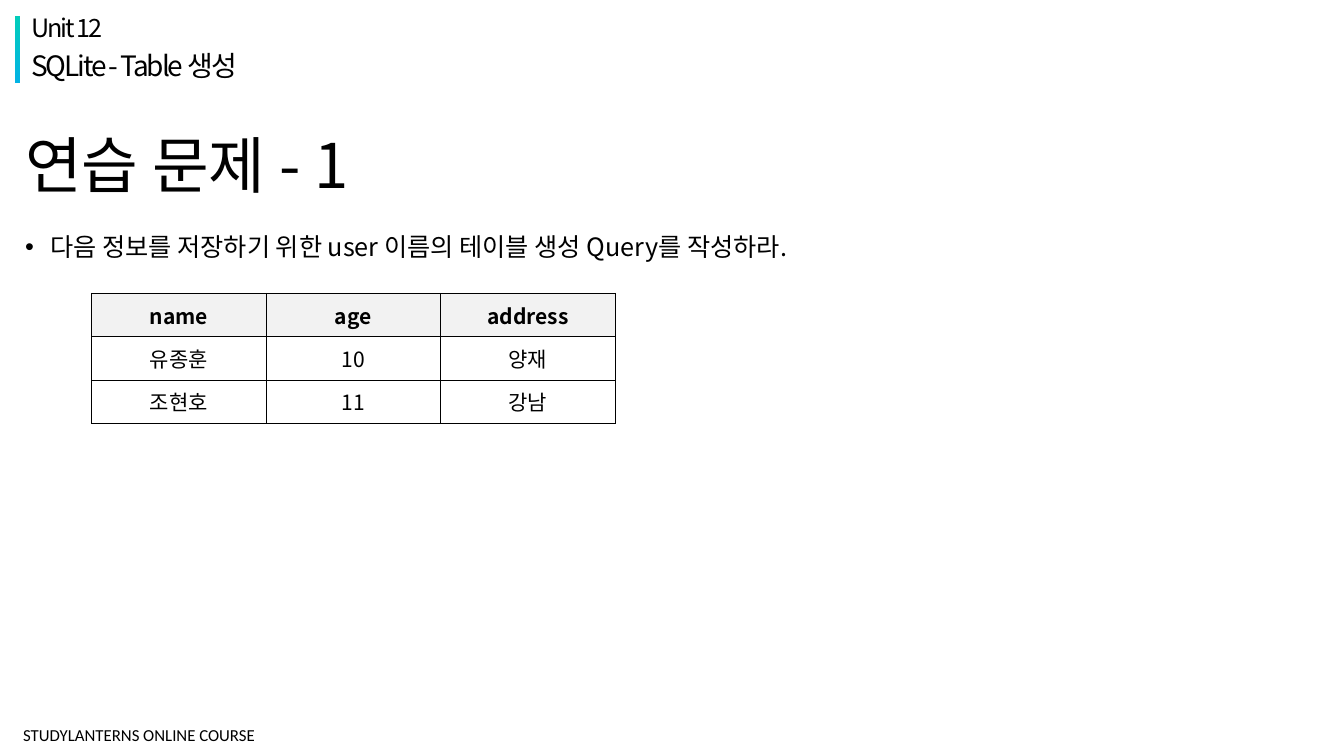
from dataclasses import dataclass

from lxml import etree
from pptx import Presentation
from pptx import util as u
from pptx.dml.color import RGBColor
from pptx.enum import shapes, text
from pptx.oxml.ns import qn

NOTO = "Noto Sans CJK KR"
BLACK = "000000"
HEADER_FILL = "F2F2F2"


@dataclass
class Label:
    words: str
    left: float
    top: float
    width: float
    height: float
    size: float
    font: str = NOTO
    anchor: text.MSO_ANCHOR = text.MSO_ANCHOR.TOP
    inset: tuple[float, float] = (0.1, 0.05)
    line_spacing: float = 1.0
    space_before: float = 0
    tracking: float = 0
    bullet: bool = False


LABELS = [
    Label("STUDYLANTERNS ONLINE COURSE", 0.15, 7.11, 3.97, 0.36, 12, "Calibri",
          text.MSO_ANCHOR.MIDDLE, inset=(0.08, 0.08)),
    Label("연습 문제 - 1", 0.15, 1.25, 11.5, 0.85, 44,
          anchor=text.MSO_ANCHOR.MIDDLE, line_spacing=0.9),
    Label("Unit 12", 0.21, 0.11, 8.05, 0.34, 18,
          line_spacing=0.9, space_before=10, tracking=-1.5),
    Label("SQLite - Table 생성", 0.21, 0.47, 8.05, 0.34, 20,
          line_spacing=0.9, space_before=10, tracking=-1.5),
    Label("다음 정보를 저장하기 위한 user 이름의 테이블 생성 Query를 작성하라.",
          0.15, 2.25, 11.5, 0.85, 18, space_before=10, bullet=True),
]

USERS = [
    ("name", "age", "address"),
    ("유종훈", "10", "양재"),
    ("조현호", "11", "강남"),
]


def color(value: str) -> RGBColor:
    return RGBColor.from_string(value)


def set_font(p, name: str, size: float, bold: bool = False, tracking: float = 0):
    f = p.font
    f.name, f.size, f.bold = name, u.Pt(size), bold
    f.color.rgb = color(BLACK)
    props = p._p.pPr.find(qn("a:defRPr"))
    etree.SubElement(props, qn("a:ea")).set("typeface", name)
    if tracking:
        props.set("spc", str(int(tracking * 100)))
    return props


def add_label(s, label: Label) -> None:
    box = s.shapes.add_textbox(u.Inches(label.left), u.Inches(label.top),
                               u.Inches(label.width), u.Inches(label.height))
    tf = box.text_frame
    tf.word_wrap = True
    tf.vertical_anchor = label.anchor
    tf.margin_left = tf.margin_right = u.Inches(label.inset[0])
    tf.margin_top = tf.margin_bottom = u.Inches(label.inset[1])
    p = tf.paragraphs[0]
    p.text = label.words
    p.line_spacing = label.line_spacing
    p.space_before = u.Pt(label.space_before)
    props = set_font(p, label.font, label.size, tracking=label.tracking)
    if label.bullet:
        p._p.pPr.set("marL", str(u.Inches(0.25)))
        p._p.pPr.set("indent", str(u.Inches(-0.25)))
        bullet_font = etree.Element(qn("a:buFont"), typeface="Arial")
        props.addprevious(bullet_font)
        props.addprevious(etree.Element(qn("a:buChar"), char="•"))


def add_accent_bar(s) -> None:
    sp = s.shapes.add_shape(shapes.MSO_SHAPE.RECTANGLE, u.Inches(0.15),
                            u.Inches(0.16), u.Inches(0.05), u.Inches(0.66))
    sp.shadow.inherit = False
    sp.line.fill.background()
    sp.fill.gradient()
    sp.fill.gradient_angle = 270
    for stop, value in zip(sp.fill.gradient_stops, ("02CCBA", "02B3E4")):
        stop.color.rgb = color(value)


def add_borders(cell) -> None:
    props = cell._tc.get_or_add_tcPr()
    for i, side in enumerate(("lnL", "lnR", "lnT", "lnB")):
        line = etree.Element(qn(f"a:{side}"), w=str(u.Pt(0.5)))
        fill = etree.SubElement(line, qn("a:solidFill"))
        etree.SubElement(fill, qn("a:srgbClr")).set("val", BLACK)
        props.insert(i, line)


def add_user_table(s, rows: list[tuple[str, ...]]) -> None:
    col_width, row_height = u.Inches(1.73), u.Inches(0.43)
    table = s.shapes.add_table(len(rows), len(rows[0]), u.Inches(0.91), u.Inches(2.91),
                               col_width * len(rows[0]), row_height * len(rows)).table
    table.horz_banding = False
    for r, row in enumerate(rows):
        for c, words in enumerate(row):
            cell = table.cell(r, c)
            cell.text = words
            cell.vertical_anchor = text.MSO_ANCHOR.MIDDLE
            cell.margin_left = cell.margin_right = u.Inches(0.09)
            cell.margin_top = cell.margin_bottom = u.Inches(0.05)
            if r == 0:
                cell.fill.solid()
                cell.fill.fore_color.rgb = color(HEADER_FILL)
            else:
                cell.fill.background()
            add_borders(cell)
            p = cell.text_frame.paragraphs[0]
            p.alignment = text.PP_ALIGN.CENTER
            set_font(p, NOTO, 15, bold=r == 0)


def main() -> None:
    prs = Presentation()
    prs.slide_width, prs.slide_height = u.Inches(13.33), u.Inches(7.5)
    s = prs.slides.add_slide(prs.slide_layouts[6])
    add_accent_bar(s)
    for label in LABELS:
        add_label(s, label)
    add_user_table(s, USERS)
    prs.save("out.pptx")


if __name__ == "__main__":
    main()
